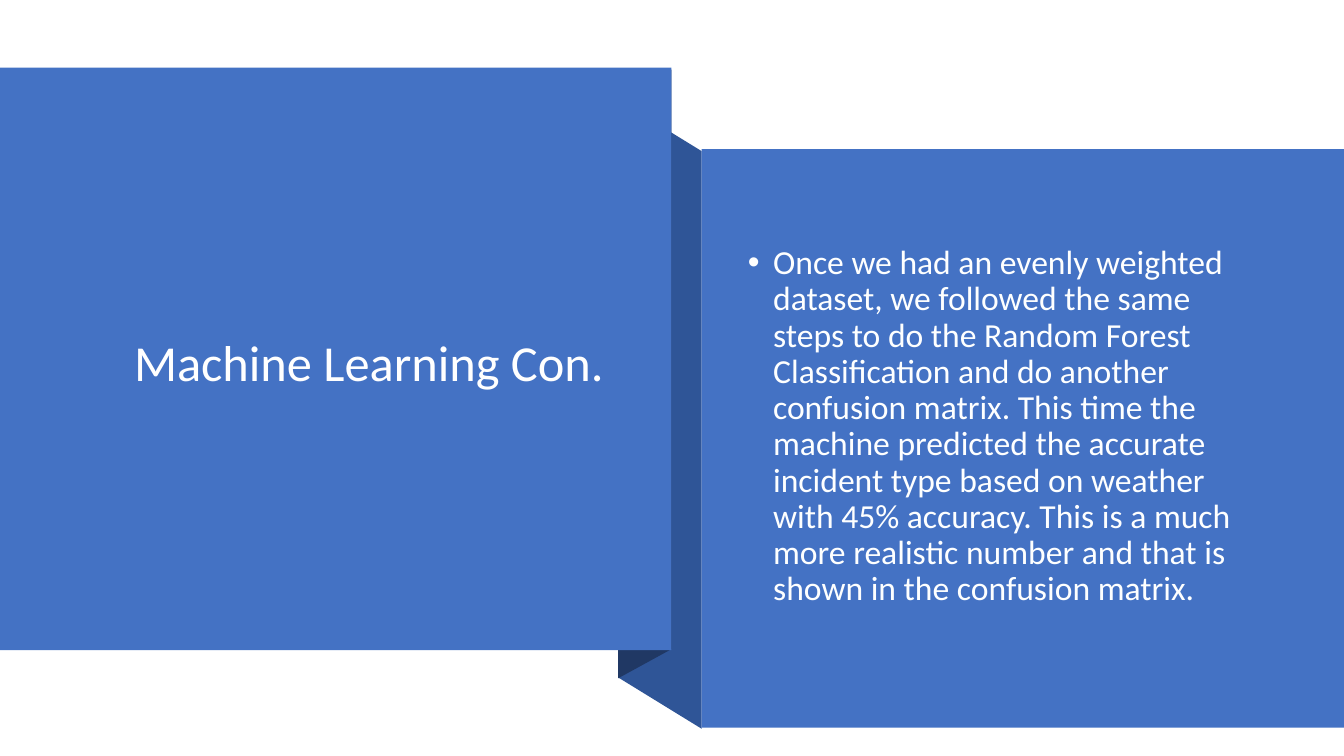
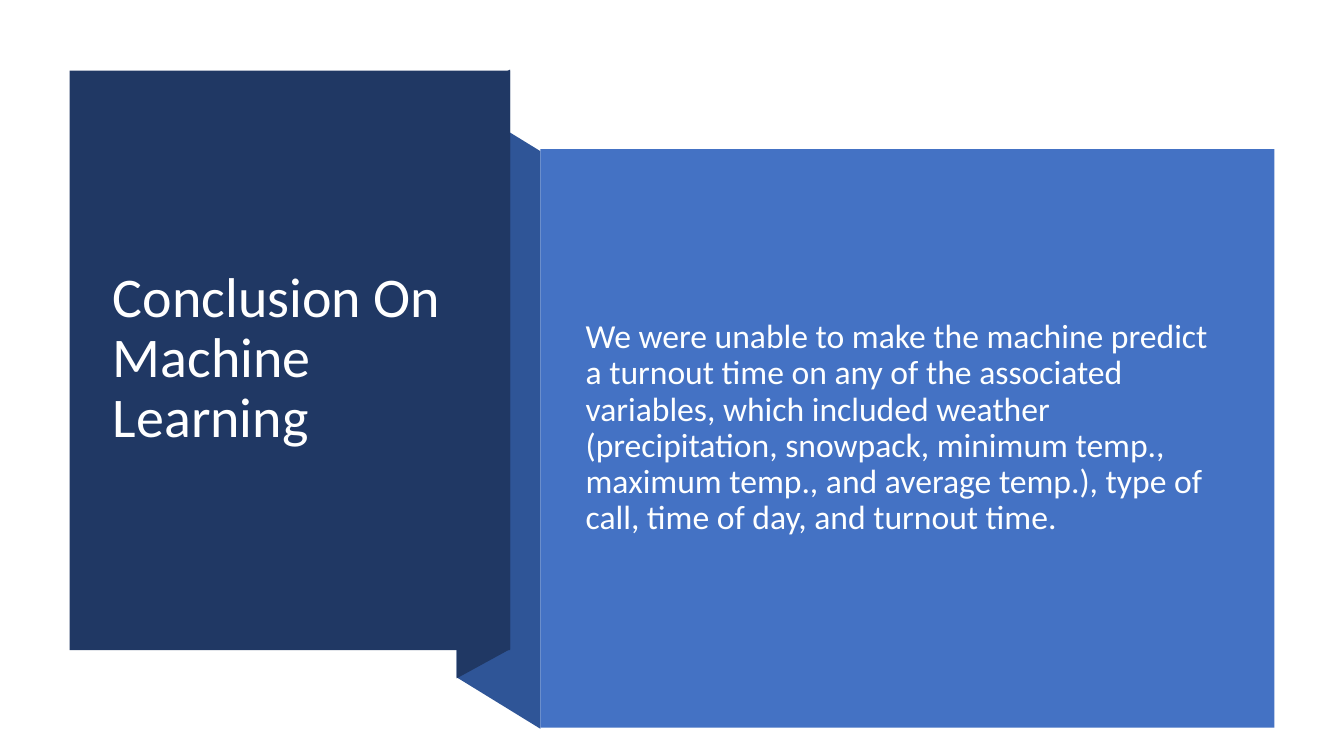
"""Builds two folded-ribbon slides on the machine learning results."""
from dataclasses import dataclass

from pptx import Presentation
from pptx.dml.color import RGBColor
from pptx.enum.shapes import MSO_SHAPE as Preset
from pptx.enum.text import MSO_ANCHOR as Anchor, MSO_AUTO_SIZE as AutoSize, PP_ALIGN as Align
from pptx.oxml.ns import qn
from pptx.shapes.base import BaseShape
from pptx.slide import Slide
from pptx.text.text import TextFrame
from pptx.util import Inches, Pt
from lxml.etree import SubElement

BLUE = RGBColor(0x44, 0x72, 0xC4)
FOLD_BLUE = RGBColor(0x2F, 0x55, 0x97)
NAVY = RGBColor(0x20, 0x38, 0x64)
WHITE = RGBColor(0xFF, 0xFF, 0xFF)
BODY_WHITE = RGBColor(0xFE, 0xFF, 0xFF)
FONT = "Calibri"
TITLE_ONLY = 5
FOLD_WIDTH = 0.83
FLAP_WIDTH = 0.53


@dataclass(frozen=True)
class Box:
    """A rectangle in inches."""
    left: float
    top: float
    width: float
    height: float

    def lengths(self) -> tuple[Inches, ...]:
        """Return the four measures as lengths."""
        return tuple(Inches(v) for v in (self.left, self.top, self.width, self.height))


@dataclass(frozen=True)
class RibbonSlide:
    """The content and measures of one ribbon slide."""
    title: str
    title_box: Box
    title_size: int
    title_align: Align
    title_panel: Box
    title_color: RGBColor
    body: str
    body_box: Box
    body_panel: Box
    bulleted: bool


RIBBON_SLIDES = [
    RibbonSlide(
        title="Machine Learning Con.",
        title_box=Box(0.95, 1.32, 5.14, 4.6),
        title_size=36,
        title_align=Align.RIGHT,
        title_panel=Box(0, 0.67, 6.66, 5.78),
        title_color=BLUE,
        body="Once we had an evenly weighted dataset, we followed the same steps to do the "
             "Random Forest Classification and do another confusion matrix. This time the "
             "machine predicted the accurate incident type based on weather with 45% accuracy. "
             "This is a much more realistic number and that is shown in the confusion matrix.",
        body_box=Box(7.32, 1.85, 5.14, 4.77),
        body_panel=Box(6.96, 1.48, 6.37, 5.74),
        bulleted=True,
    ),
    RibbonSlide(
        title="Conclusion On Machine Learning",
        title_box=Box(1.02, 1.07, 3.71, 4.99),
        title_size=40,
        title_align=Align.LEFT,
        title_panel=Box(0.69, 0.7, 4.37, 5.75),
        title_color=NAVY,
        body="We were unable to make the machine predict a turnout time on any of the "
             "associated variables, which included weather (precipitation, snowpack, minimum "
             "temp., maximum temp., and average temp.), type of call, time of day, and "
             "turnout time.",
        body_box=Box(5.71, 1.88, 6.51, 4.74),
        body_panel=Box(5.36, 1.48, 7.28, 5.74),
        bulleted=False,
    ),
]


def paint(shape: BaseShape, color: RGBColor) -> None:
    """Give a shape a flat fill without outline or shadow."""
    shape.shadow.inherit = False
    shape.fill.solid()
    shape.fill.fore_color.rgb = color
    shape.line.fill.background()


def add_panel(slide: Slide, box: Box, color: RGBColor) -> None:
    """Draw a flat rectangle."""
    paint(slide.shapes.add_shape(Preset.RECTANGLE, *box.lengths()), color)


def add_outline(slide: Slide, points: list[tuple[float, float]], color: RGBColor) -> None:
    """Draw a closed polygon through points in inches."""
    start, *others = [(Inches(x), Inches(y)) for x, y in points]
    builder = slide.shapes.build_freeform(*start)
    builder.add_line_segments(others, close=True)
    paint(builder.convert_to_shape(), color)


def add_fold(slide: Slide, right: float) -> None:
    """Draw the ribbon's folded part, ending at the body panel's left edge."""
    left = right - FOLD_WIDTH
    flap = left + FLAP_WIDTH
    add_outline(slide, [(right, 7.23), (left, 6.72), (left, 0.99), (right, 1.5)], FOLD_BLUE)
    add_outline(slide, [(flap, 6.44), (left, 6.73), (left, 0.98), (flap, 0.69)], NAVY)


def write(frame: TextFrame, text: str, size: int, color: RGBColor, align: Align) -> None:
    """Fill a text frame with one vertically centred paragraph."""
    frame.text = text
    frame.word_wrap = True
    frame.auto_size = AutoSize.NONE
    frame.vertical_anchor = Anchor.MIDDLE
    paragraph = frame.paragraphs[0]
    paragraph.alignment = align
    paragraph.line_spacing = 0.9
    paragraph.font.name = FONT
    paragraph.font.size = Pt(size)
    paragraph.font.color.rgb = color


def add_title(slide: Slide, content: RibbonSlide) -> None:
    """Place the title placeholder above the title panel."""
    title = slide.shapes.title
    title.left, title.top, title.width, title.height = content.title_box.lengths()
    write(title.text_frame, content.title, content.title_size, WHITE, content.title_align)
    slide.shapes.element.append(title.element)


def add_body(slide: Slide, content: RibbonSlide) -> None:
    """Write the body text, with a hanging bullet if wanted."""
    frame = slide.shapes.add_textbox(*content.body_box.lengths()).text_frame
    write(frame, content.body, 24, BODY_WHITE, Align.LEFT)
    paragraph = frame.paragraphs[0]
    paragraph.space_before = Pt(10)
    if content.bulleted:
        properties = paragraph._p.get_or_add_pPr()
        properties.set("marL", str(Inches(0.25)))
        properties.set("indent", str(Inches(-0.25)))
        bullet_font = properties.makeelement(qn("a:buFont"), {"typeface": "Arial"})
        properties.find(qn("a:defRPr")).addprevious(bullet_font)
        bullet = SubElement(properties, qn("a:buChar"), {"char": "•"})
        bullet_font.addnext(bullet)


def add_ribbon_slide(deck: Presentation, content: RibbonSlide) -> None:
    """Add one ribbon slide to the deck."""
    slide = deck.slides.add_slide(deck.slide_layouts[TITLE_ONLY])
    add_fold(slide, content.body_panel.left)
    add_panel(slide, content.title_panel, content.title_color)
    add_title(slide, content)
    add_panel(slide, content.body_panel, BLUE)
    add_body(slide, content)


def main() -> None:
    """Build and save the deck."""
    deck = Presentation()
    deck.slide_width, deck.slide_height = Inches(13.33), Inches(7.5)
    for content in RIBBON_SLIDES:
        add_ribbon_slide(deck, content)
    deck.save("out.pptx")


if __name__ == "__main__":
    main()
